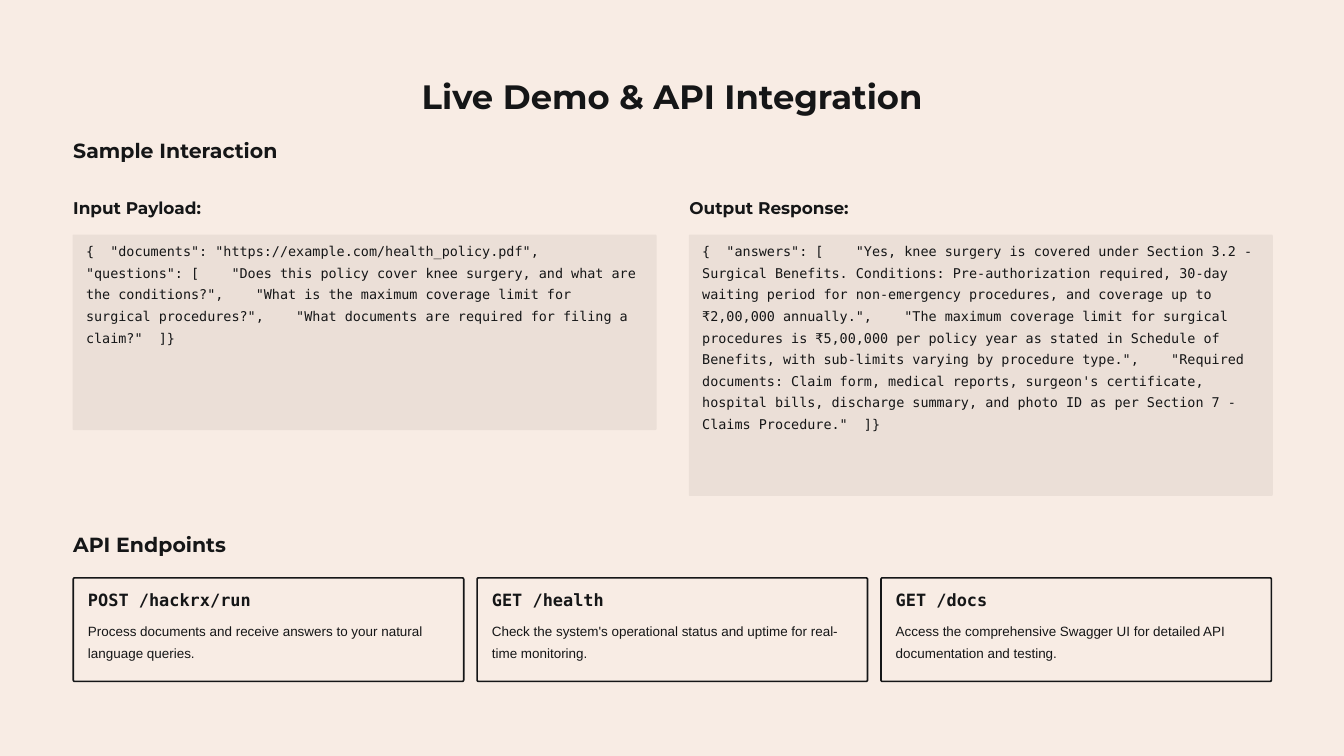
from pptx import Presentation
from pptx.dml.color import RGBColor
from pptx.enum.shapes import MSO_SHAPE
from pptx.enum.text import PP_ALIGN
from pptx.util import Inches, Pt

INK = RGBColor(0x15, 0x16, 0x17)
CREAM = RGBColor(0xF8, 0xEC, 0xE4)
SAND = RGBColor(0xEB, 0xDF, 0xD7)
ROUND = MSO_SHAPE.ROUNDED_RECTANGLE
LEFT, CENTER = PP_ALIGN.LEFT, PP_ALIGN.CENTER
HEAD, MONO, BODY = "Montserrat", "DejaVu Sans Mono", "Arial"

# The slide is a grid of square cells
COLS, ROWS = 20, 11.25
EDGE = 1.09
RADIUS = 0.02


class Deck:
    def __init__(self):
        self.prs = Presentation()
        self.prs.slide_width = Inches(20)
        self.prs.slide_height = Inches(11.25)
        self.slide = self.prs.slides.add_slide(self.prs.slide_layouts[6])
        fill = self.slide.background.fill
        fill.solid()
        fill.fore_color.rgb = CREAM

    def area(self, x, y, w, h):
        col = self.prs.slide_width / COLS
        row = self.prs.slide_height / ROWS
        return int(x * col), int(y * row), int(w * col), int(h * row)

    def text(self, x, y, w, h, words, size, lead, face, bold=False, align=LEFT):
        frame = self.slide.shapes.add_textbox(*self.area(x, y, w, h)).text_frame
        frame.word_wrap = True
        frame.margin_left = frame.margin_right = 0
        frame.margin_top = frame.margin_bottom = 0
        para = frame.paragraphs[0]
        para.alignment = align
        para.line_spacing = Pt(lead)
        run = para.add_run()
        run.text = words
        font = run.font
        font.name, font.size, font.bold = face, Pt(size), bold
        font.color.rgb = INK

    def title(self, y, words):
        self.text(6.09, y, 7.83, 0.65, words, 36.2, 45.6, HEAD, True, CENTER)

    def section(self, y, words):
        self.text(EDGE, y, 4, 0.38, words, 21.9, 26.9, HEAD, True)

    def box(self, x, y, w, h, color, line=None):
        shape = self.slide.shapes.add_shape(ROUND, *self.area(x, y, w, h))
        shape.shadow.inherit = False
        shape.adjustments[0] = RADIUS / min(w, h)
        shape.fill.solid()
        shape.fill.fore_color.rgb = color
        if line:
            shape.line.color.rgb = line
            shape.line.width = Pt(1.75)
        else:
            shape.line.fill.background()

    def sample(self, x, h, label, code):
        self.text(x, 2.93, 4, 0.33, label, 18.1, 22.5, HEAD, True)
        self.box(x - 0.01, 3.49, 8.69, h, SAND)
        self.text(x + 0.19, 3.54, 8.28, h - 0.2, code, 14.4, 23.1, MONO)

    def card(self, x, call, note):
        self.box(x, 8.6, 5.81, 1.54, CREAM, INK)
        self.text(x + 0.22, 8.77, 5.36, 0.37, call, 18.1, 22.5, MONO, True)
        self.text(x + 0.22, 9.19, 5.36, 0.72, note, 14.4, 23.1, BODY)


INPUT = (
    '{  "documents": "https://example.com/health_policy.pdf",'
    '  "questions": ['
    '    "Does this policy cover knee surgery, and what are the conditions?",'
    '    "What is the maximum coverage limit for surgical procedures?",'
    '    "What documents are required for filing a claim?"  ]}'
)
OUTPUT = (
    '{  "answers": ['
    '    "Yes, knee surgery is covered under Section 3.2 - Surgical Benefits. '
    'Conditions: Pre-authorization required, 30-day waiting period for '
    'non-emergency procedures, and coverage up to ₹2,00,000 annually.",'
    '    "The maximum coverage limit for surgical procedures is ₹5,00,000 per '
    'policy year as stated in Schedule of Benefits, with sub-limits varying '
    'by procedure type.",'
    '    "Required documents: Claim form, medical reports, surgeon\'s '
    'certificate, hospital bills, discharge summary, and photo ID as per '
    'Section 7 - Claims Procedure."  ]}'
)
CALLS = [
    ("POST /hackrx/run",
     "Process documents and receive answers to your natural language queries."),
    ("GET /health",
     "Check the system's operational status and uptime for real-time monitoring."),
    ("GET /docs",
     "Access the comprehensive Swagger UI for detailed API documentation and testing."),
]


def main():
    deck = Deck()
    deck.title(1.1, "Live Demo & API Integration")

    # Request and reply side by side
    deck.section(2.05, "Sample Interaction")
    deck.sample(EDGE, 2.91, "Input Payload:", INPUT)
    deck.sample(EDGE + 9.17, 3.89, "Output Response:", OUTPUT)

    # Row of endpoint cards
    deck.section(7.91, "API Endpoints")
    for i, (call, note) in enumerate(CALLS):
        deck.card(EDGE + i * 6.01, call, note)

    deck.prs.save("out.pptx")


if __name__ == "__main__":
    main()
